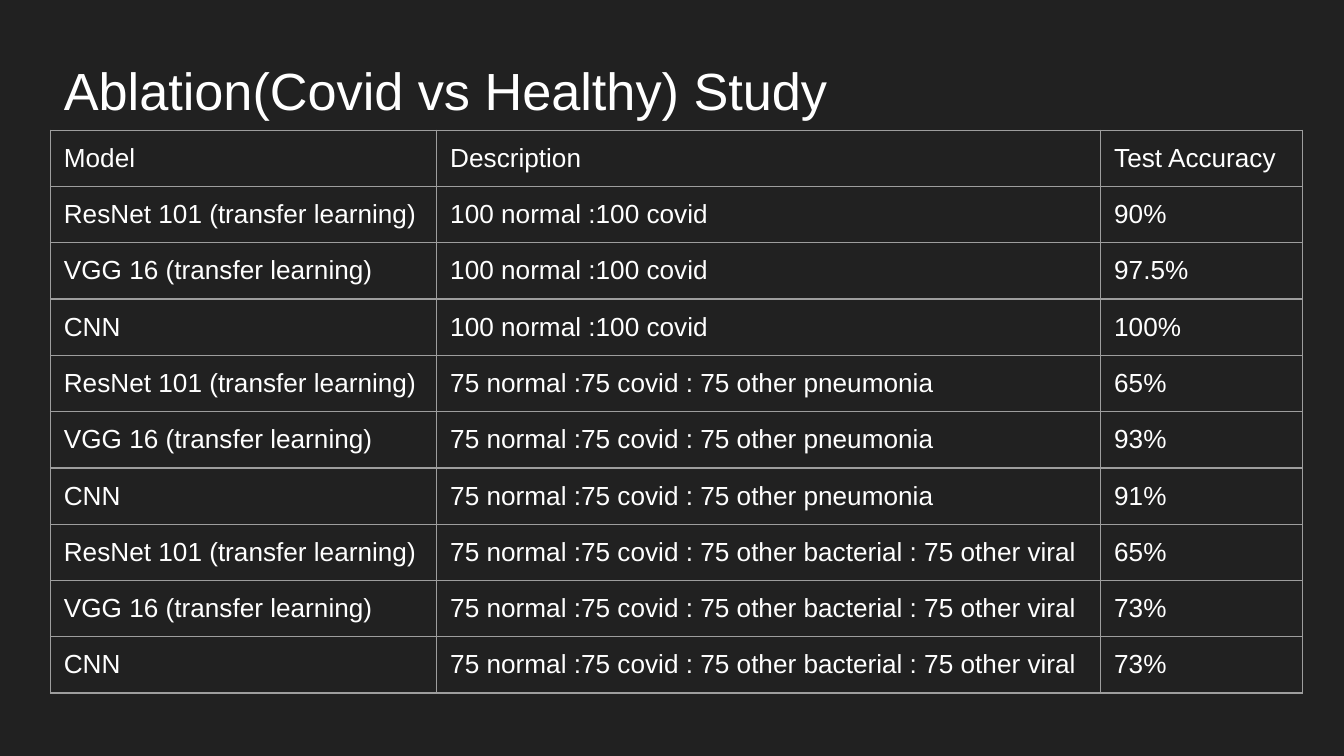
import pptx
import pptx.dml.color
import pptx.enum.text
import pptx.oxml
import pptx.oxml.ns
import pptx.util
from lxml import etree

Pt = pptx.util.Pt
COLORS = {"background": "212121", "text": "FFFFFF", "border": "9E9E9E"}
FONT = "Arial"
INSET = 7.2
COLUMN_WIDTHS = (207, 355.7, 108)
HEADINGS = ("Model", "Description", "Test Accuracy")
MODELS = ("ResNet 101 (transfer learning)", "VGG 16 (transfer learning)", "CNN")
EXPERIMENTS = (
    ("100 normal :100 covid", ("90%", "97.5%", "100%")),
    ("75 normal :75 covid : 75 other pneumonia", ("65%", "93%", "91%")),
    ("75 normal :75 covid : 75 other bacterial : 75 other viral", ("65%", "73%", "73%")),
)


def rgb(name):
    """Return the named palette colour."""
    return pptx.dml.color.RGBColor.from_string(COLORS[name])


def add_text(para, text, size):
    """Add one formatted run to a paragraph."""
    para.alignment = pptx.enum.text.PP_ALIGN.LEFT
    span = para.add_run()
    span.text = text
    span.font.name = FONT
    span.font.size = Pt(size)
    span.font.color.rgb = rgb("text")


def add_borders(cell, width):
    """Draw a solid line on all four sides of a cell."""
    properties = cell._tc.get_or_add_tcPr()
    for position, side in enumerate(("lnL", "lnR", "lnT", "lnB")):
        line = pptx.oxml.parse_xml(
            f'<a:{side} {pptx.oxml.ns.nsdecls("a")} w="{Pt(width)}"/>')
        fill = etree.SubElement(line, pptx.oxml.ns.qn("a:solidFill"))
        etree.SubElement(fill, pptx.oxml.ns.qn("a:srgbClr"), val=COLORS["border"])
        properties.insert(position, line)


def place_title(page, left, top, width, height):
    """Place the heading in the title placeholder."""
    title = page.shapes.title
    title.left, title.top, title.width, title.height = map(Pt, (left, top, width, height))
    frame = title.text_frame
    frame.auto_size = pptx.enum.text.MSO_AUTO_SIZE.NONE
    frame.word_wrap = True
    frame.vertical_anchor = pptx.enum.text.MSO_ANCHOR.TOP
    frame.margin_left = frame.margin_right = Pt(INSET)
    frame.margin_top, frame.margin_bottom = Pt(10), Pt(0)
    add_text(frame.paragraphs[0], "Ablation(Covid vs Healthy) Study", 28)


def place_results(page, left, top, width, height):
    """Place the table of test accuracy for each model and data mix."""
    rows = [HEADINGS] + [
        (model, mix, score)
        for mix, scores in EXPERIMENTS
        for model, score in zip(MODELS, scores)
    ]
    table = page.shapes.add_table(
        len(rows), len(HEADINGS), Pt(left), Pt(top), Pt(width), Pt(height)).table
    table.first_row = table.horz_banding = False
    for column, column_width in zip(table.columns, COLUMN_WIDTHS):
        column.width = Pt(column_width)
    for row_index, values in enumerate(rows):
        table.rows[row_index].height = Pt(height / len(rows))
        for column_index, value in enumerate(values):
            cell = table.cell(row_index, column_index)
            cell.margin_left = cell.margin_right = Pt(INSET)
            cell.margin_top = cell.margin_bottom = Pt(INSET)
            cell.fill.background()
            add_borders(cell, 0.75)
            add_text(cell.text_frame.paragraphs[0], value, 14)


def main():
    """Build and save the deck."""
    deck = pptx.Presentation()
    deck.slide_width, deck.slide_height = Pt(720), Pt(405)
    page = deck.slides.add_slide(deck.slide_layouts[5])
    page.background.fill.solid()
    page.background.fill.fore_color.rgb = rgb("background")
    place_title(page, 27, 21, 671, 45)
    place_results(page, 27, 69.7, sum(COLUMN_WIDTHS), 300.5)
    deck.save("out.pptx")


if __name__ == "__main__":
    main()
